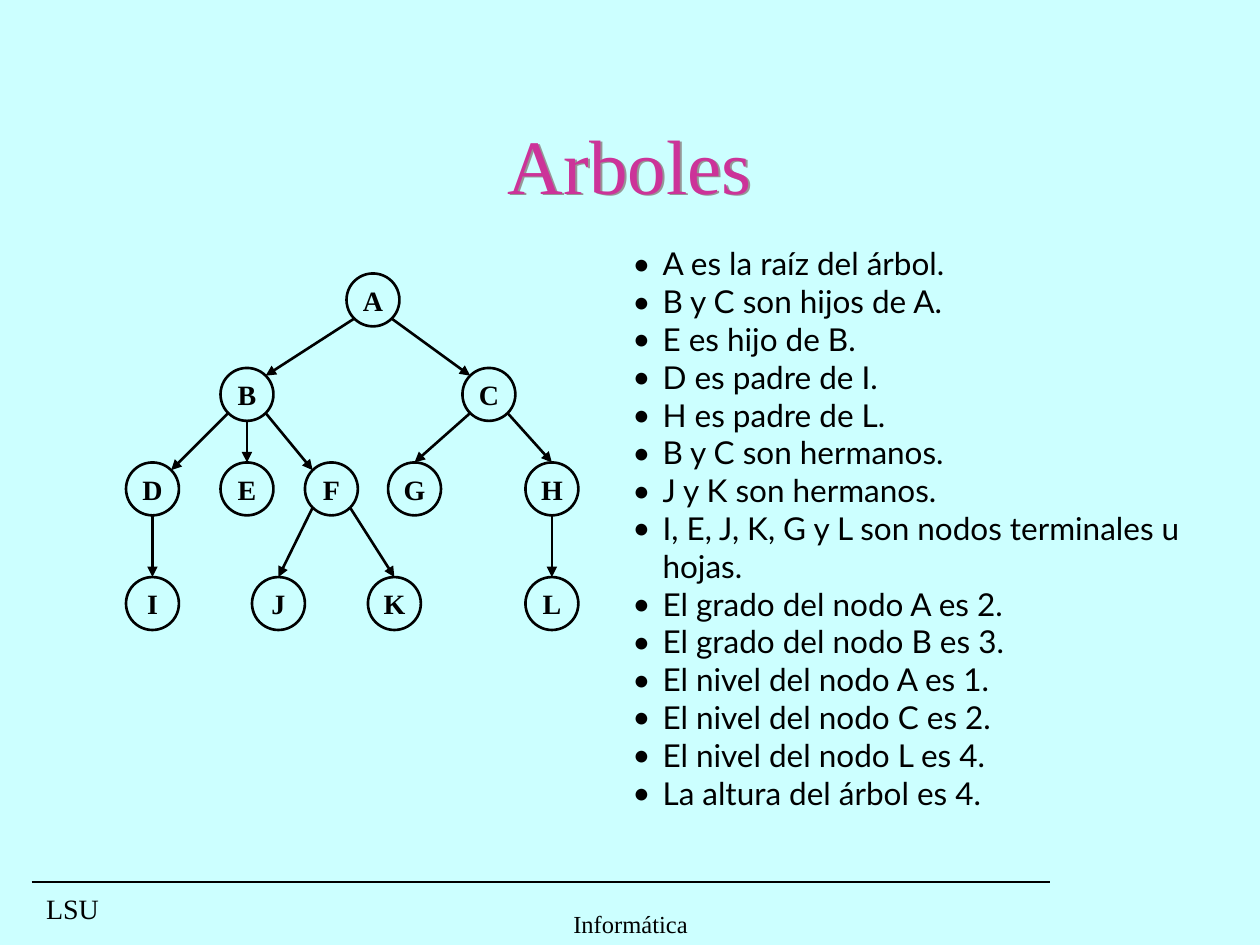
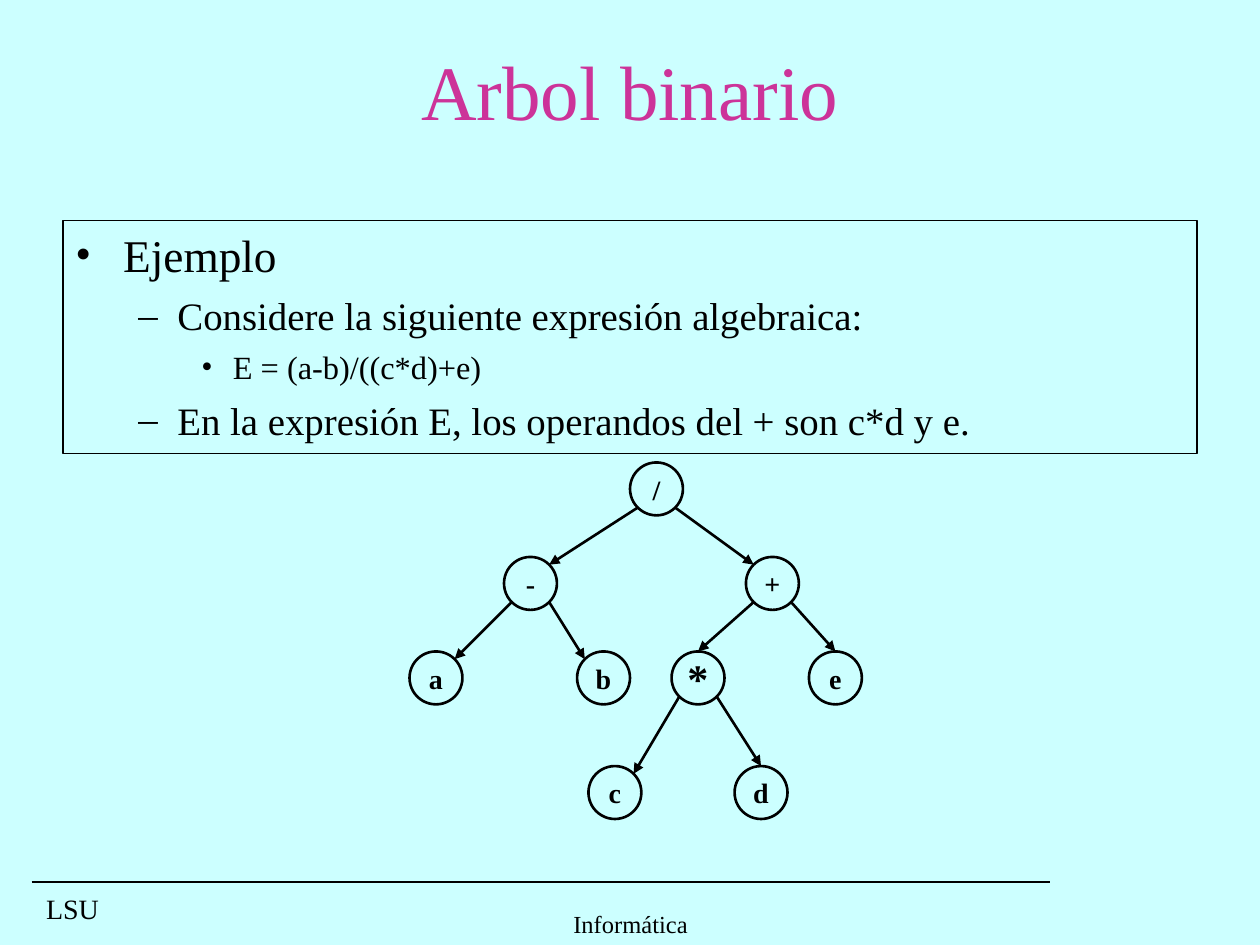
from math import sqrt

from pptx import Presentation
from pptx.dml.color import RGBColor
from pptx.enum.shapes import MSO_CONNECTOR, MSO_SHAPE
from pptx.enum.text import MSO_ANCHOR as ANCHOR, PP_ALIGN as ALIGN
from pptx.oxml import parse_xml
from pptx.oxml.ns import nsdecls, qn
from pptx.oxml.xmlchemy import OxmlElement
from pptx.util import Inches, Pt

COLORS = {"background": "CCFFFF", "ink": "000000", "title": "CC3399", "shadow": "969696"}
SERIF, SANS = "Times New Roman", "Lato"
NODE_SIZE = 0.42
DIAGONAL = NODE_SIZE / 2 / sqrt(2)

TITLE = {"size": 44, "color": "title", "align": ALIGN.CENTER}
NODE = {"size": 16, "bold": True, "align": ALIGN.CENTER}
FACT = {"size": 18, "font": SANS, "bullet": "•", "margin": 0.24, "hang": 0.24}
LEVELS = [
    {"size": 25.9, "bullet": "•", "margin": 0.38, "hang": 0.38, "space_before": Pt(7)},
    {"size": 22.2, "bullet": "–", "margin": 0.81, "hang": 0.31, "space_before": Pt(6)},
    {"size": 18.5, "bullet": "•", "margin": 1.25, "hang": 0.25, "space_before": Pt(5)},
]


def write_text(shape, lines, wrap=True, anchor=ANCHOR.TOP):
    """Fill a shape with (text, format) paragraphs."""
    frame = shape.text_frame
    frame.word_wrap, frame.vertical_anchor = wrap, anchor
    for index, (text, style) in enumerate(lines):
        para = frame.paragraphs[0] if index == 0 else frame.add_paragraph()
        para.alignment = style.get("align", ALIGN.LEFT)
        for name in ("space_before", "line_spacing"):
            if name in style:
                setattr(para, name, style[name])
        if "bullet" in style:
            props = para._p.get_or_add_pPr()
            props.set("marL", str(Inches(style["margin"])))
            props.set("indent", str(-Inches(style["hang"])))
            for tag, key, value in (("a:buFont", "typeface", style.get("font", SERIF)),
                                    ("a:buChar", "char", style["bullet"])):
                mark = OxmlElement(tag)
                mark.set(key, value)
                props.append(mark)
        span = para.add_run()
        span.text = text
        font = {"name": style.get("font", SERIF), "size": Pt(style["size"]),
                "bold": style.get("bold", False)}
        for name, value in font.items():
            setattr(span.font, name, value)
        span.font.color.rgb = RGBColor.from_string(COLORS[style.get("color", "ink")])


def add_line(page, start, end, width, arrow=False):
    line = page.shapes.add_connector(
        MSO_CONNECTOR.STRAIGHT, *[Inches(value) for value in (*start, *end)])
    line.line.width = Pt(width)
    line.line.color.rgb = RGBColor.from_string(COLORS["ink"])
    if arrow:
        head = OxmlElement("a:tailEnd")
        head.set("type", "triangle")
        line.line._get_or_add_ln().append(head)
    line._element.spPr.append(OxmlElement("a:effectLst"))
    return line


deck = Presentation()
deck.slide_width, deck.slide_height = Inches(10), Inches(7.5)
backdrop = deck.slide_master.background.fill
backdrop.solid()
backdrop.fore_color.rgb = RGBColor.from_string(COLORS["background"])

facts = [
    "A es la raíz del árbol.", "B y C son hijos de A.", "E es hijo de B.",
    "D es padre de I.", "H es padre de L.", "B y C son hermanos.",
    "J y K son hermanos.", "I, E, J, K, G y L son nodos terminales u hojas.",
    "El grado del nodo A es 2.", "El grado del nodo B es 3.",
    "El nivel del nodo A es 1.", "El nivel del nodo C es 2.",
    "El nivel del nodo L es 4.", "La altura del árbol es 4.",
]
example = [
    ("Ejemplo", 0),
    ("Considere la siguiente expresión algebraica:", 1),
    ("E = (a-b)/((c*d)+e)", 2),
    ("En la expresión E, los operandos del + son c*d y e.", 1),
]

# Each node: label, left, row, parent, side where its arrow arrives
general_tree = [
    ("A", 2.75, 0, None, None),
    ("B", 1.75, 1, "A", "corner"), ("C", 3.67, 1, "A", "corner"),
    ("D", 1, 2, "B", "corner"), ("E", 1.75, 2, "B", "top"), ("F", 2.42, 2, "B", "corner"),
    ("G", 3.08, 2, "C", "top"), ("H", 4.17, 2, "C", "top"),
    ("I", 1, 3, "D", "top"), ("J", 2, 3, "F", "top"),
    ("K", 2.92, 3, "F", "top"), ("L", 4.17, 3, "H", "top"),
]
expression_tree = [
    ("/", 5, 0, None, None),
    ("-", 4, 1, "/", "corner"), ("+", 5.92, 1, "/", "corner"),
    ("a", 3.25, 2, "-", "corner"), ("b", 4.58, 2, "-", "corner"),
    ("*", 5.33, 2, "+", "top"), ("e", 6.42, 2, "+", "top"),
    ("c", 4.67, 3, "*", "corner"), ("d", 5.83, 3, "*", "top"),
]
row_offsets = [0, 0.75, 1.5, 2.41]

slides = [
    {"title": "Arboles", "title_at": (0.75, 0.67, 8.5, 1.25), "anchor": ANCHOR.MIDDLE,
     "title_shadow": True, "body_at": (4.92, 1.89, 4.89, 4.94), "framed": False,
     "body": [(fact, FACT) for fact in facts], "tree": general_tree, "tree_top": 2.17},
    {"title": "Arbol binario", "title_at": (0.5, 0.3, 9, 1.25), "anchor": ANCHOR.TOP,
     "title_shadow": False, "body_at": (0.5, 1.75, 9, 1.85), "framed": True,
     "body": [(text, LEVELS[level]) for text, level in example],
     "tree": expression_tree, "tree_top": 3.67},
]

for content in slides:
    page = deck.slides.add_slide(deck.slide_layouts[6])

    # Footer
    add_line(page, (0.25, 7), (8.33, 7), 1)
    author = page.shapes.add_textbox(Inches(0.24), Inches(7.06), Inches(0.67), Inches(0.34))
    write_text(author, [("LSU", {"size": 16, "align": ALIGN.CENTER, "line_spacing": 0.9,
                                 "space_before": Pt(10)})])
    subject = page.shapes.add_textbox(Inches(3.42), Inches(7.08), Inches(3.17), Inches(0.42))
    write_text(subject, [("Informática", {"size": 14, "align": ALIGN.CENTER})],
               anchor=ANCHOR.BOTTOM)

    # Title and body
    title = page.shapes.add_textbox(*[Inches(value) for value in content["title_at"]])
    write_text(title, [(content["title"], TITLE)], anchor=content["anchor"])
    if content["title_shadow"]:
        title._element.spPr.append(parse_xml(
            f'<a:effectLst {nsdecls("a")}><a:outerShdw dist="20000" dir="2700000">'
            f'<a:srgbClr val="{COLORS["shadow"]}"/></a:outerShdw></a:effectLst>'))
    body = page.shapes.add_textbox(*[Inches(value) for value in content["body_at"]])
    write_text(body, content["body"])
    if content["framed"]:
        body.line.width = Pt(0.75)
        body.line.color.rgb = RGBColor.from_string(COLORS["ink"])

    # Tree
    circles, centers = {}, {}
    for label, left, row, parent, arrival in content["tree"]:
        top = content["tree_top"] + row_offsets[row]
        circle = page.shapes.add_shape(MSO_SHAPE.OVAL, Inches(left), Inches(top),
                                       Inches(NODE_SIZE), Inches(NODE_SIZE))
        circle.shadow.inherit = False
        circle.fill.background()
        circle.line.width = Pt(1.5)
        circle.line.color.rgb = RGBColor.from_string(COLORS["ink"])
        style = {**NODE, "size": 24} if label == "*" else NODE
        write_text(circle, [(label, style)], wrap=False, anchor=ANCHOR.MIDDLE)
        circles[label] = circle
        centers[label] = (left + NODE_SIZE / 2, top + NODE_SIZE / 2)

    for label, left, row, parent, arrival in content["tree"]:
        if parent is None:
            continue
        (from_x, from_y), (to_x, to_y) = centers[parent], centers[label]
        side = (to_x > from_x) - (to_x < from_x)
        drop = DIAGONAL if side else NODE_SIZE / 2
        start = (from_x + side * DIAGONAL, from_y + drop)
        end = (to_x - side * DIAGONAL, to_y - DIAGONAL)
        arrow = add_line(page, start, end, 1.5, arrow=True)
        if arrival == "top":
            arrow.end_connect(circles[label], 0)

deck.save("out.pptx")
